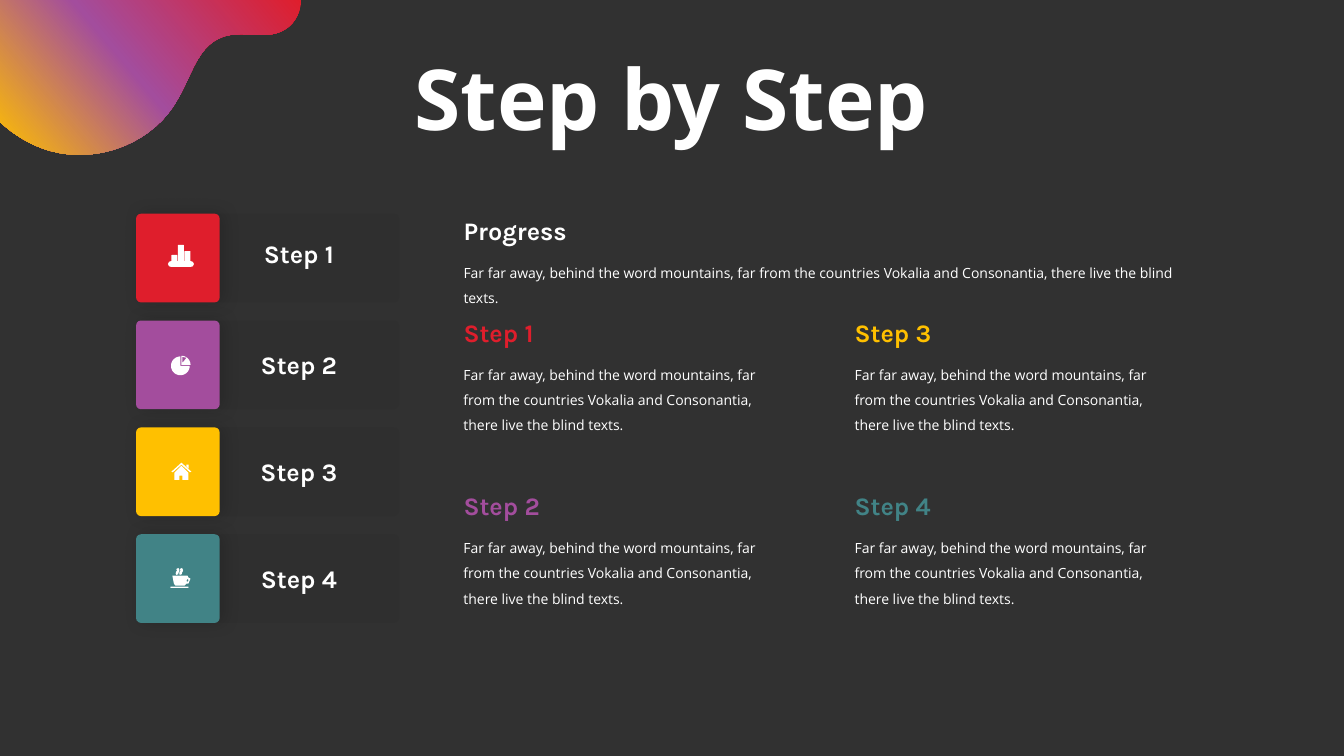
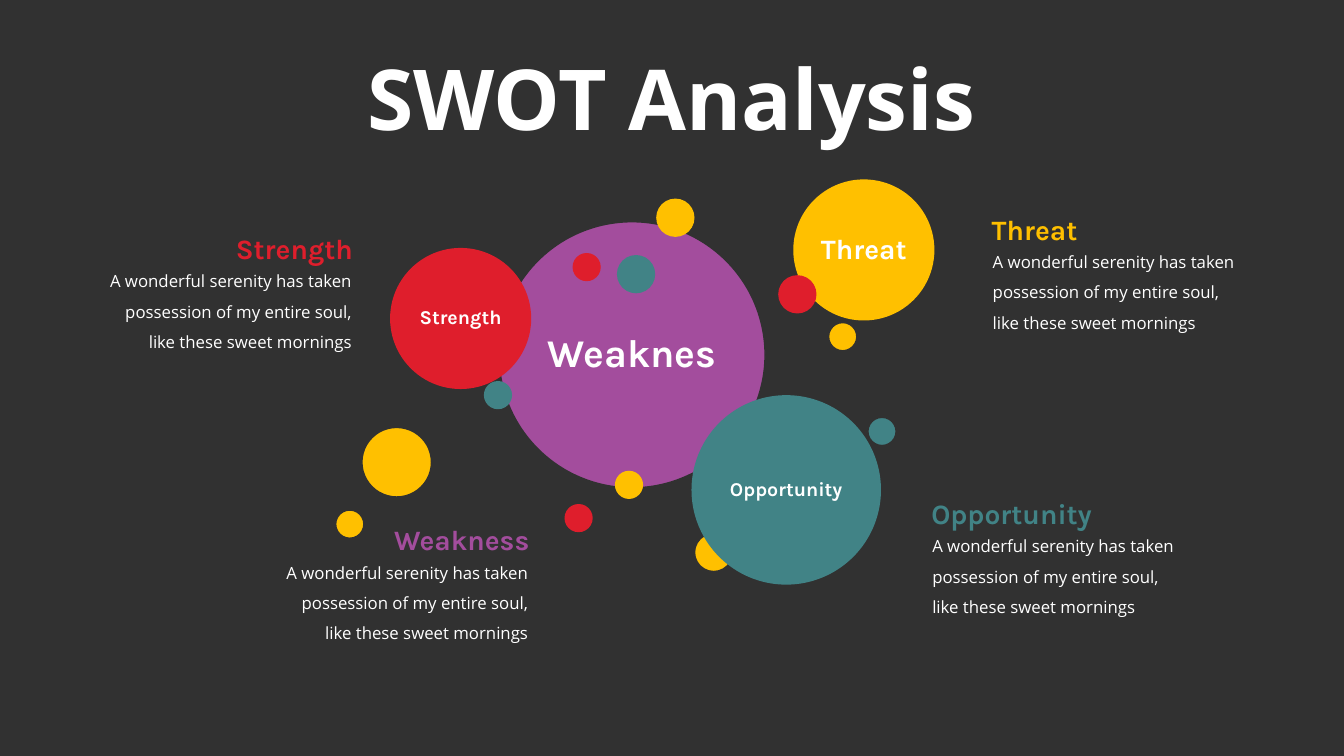
import math
from copy import deepcopy
from dataclasses import dataclass
from typing import Callable, Sequence

from lxml import etree
from pptx import Presentation, util as u
from pptx.dml.color import RGBColor
from pptx.enum import shapes as kinds, text as t
from pptx.oxml.ns import qn

Point = tuple[float, float]
LEFT, CENTER, RIGHT = t.PP_ALIGN.LEFT, t.PP_ALIGN.CENTER, t.PP_ALIGN.RIGHT
SHAPE = kinds.MSO_SHAPE

CELL = u.Inches(0.1)  # the slide is a grid of square cells
COLUMNS, ROWS = 133.33, 75
CURVE_STEPS = 16


@dataclass(frozen=True)
class Theme:
    ground: str = "313131"
    panel: str = "2F2F2F"
    white: str = "FFFFFF"
    red: str = "DF1E2C"
    purple: str = "A34D9D"
    yellow: str = "FFC000"
    teal: str = "418386"
    black: str = "000000"
    display: str = "Karla"
    reading: str = "Open Sans"
    title: float = 60
    callout: float = 20
    heading: float = 18
    note: float = 12
    body: float = 10


THEME = Theme()


@dataclass(frozen=True)
class Step:
    name: str
    color: str
    icon: Callable
    label_drop: float = 2.4


@dataclass(frozen=True)
class Bubble:
    col: float
    row: float
    size: float
    color: str
    edged: bool = False
    label: str = ""
    label_size: float = 14


@dataclass(frozen=True)
class Callout:
    """A heading and note whose aligned side stands at column `edge`."""
    heading: str
    color: str
    edge: float
    row: float
    align: t.PP_ALIGN


def cells(*counts: float) -> list[int]:
    return [round(count * CELL) for count in counts]


def write(frame, words: str, *, size: float, color: str = THEME.white,
          font: str = THEME.reading, bold: bool = False, align=LEFT,
          spacing: float = 1, before: float = 0, after: float = 0,
          anchor=t.MSO_ANCHOR.TOP, fit=t.MSO_AUTO_SIZE.NONE) -> None:
    frame.word_wrap, frame.auto_size, frame.vertical_anchor = True, fit, anchor
    para = frame.paragraphs[0]
    para.alignment, para.line_spacing = align, spacing
    para.space_before, para.space_after = u.Pt(before), u.Pt(after)
    span = para.add_run()
    span.text = words
    span.font.size, span.font.name, span.font.bold = u.Pt(size), font, bold
    span.font.color.rgb = RGBColor.from_string(color)


def add_text(shapes, col: float, row: float, width: float, height: float,
             words: str, **style) -> None:
    box = shapes.add_textbox(*cells(col, row, width, height))
    write(box.text_frame, words, fit=t.MSO_AUTO_SIZE.SHAPE_TO_FIT_TEXT, **style)


def paint(shape, fill: str, line: str = "", width: float = 1) -> None:
    shape.shadow.inherit = False
    shape.fill.solid()
    shape.fill.fore_color.rgb = RGBColor.from_string(fill)
    if line:
        shape.line.color.rgb = RGBColor.from_string(line)
        shape.line.width = u.Pt(width)
    else:
        shape.line.fill.background()


def add_preset(shapes, kind, col: float, row: float, width: float, height: float,
               fill: str, line: str = "", corner: float | None = None):
    shape = shapes.add_shape(kind, *cells(col, row, width, height))
    paint(shape, fill, line)
    if corner is not None:
        shape.adjustments[0] = corner
    return shape


def add_outline(shapes, *contours: Sequence[Point], closed: bool = True):
    """Join the points of each contour; inner contours become holes."""
    first, *others = contours
    builder = shapes.build_freeform(*cells(*first[0]))
    builder.add_line_segments([cells(*point) for point in first[1:]], close=closed)
    for contour in others:
        builder.move_to(*cells(*contour[0]))
        builder.add_line_segments([cells(*point) for point in contour[1:]], close=closed)
    return builder.convert_to_shape()


def bezier(*controls: Point) -> list[Point]:
    """Sample a cubic curve, leaving out its first point."""
    points = []
    for step in range(1, CURVE_STEPS + 1):
        s = step / CURVE_STEPS
        weights = [math.comb(3, k) * s**k * (1 - s)**(3 - k) for k in range(4)]
        points.append((sum(w * p[0] for w, p in zip(weights, controls)),
                       sum(w * p[1] for w, p in zip(weights, controls))))
    return points


def arc(col: float, row: float, radius: float, start: int, end: int) -> list[Point]:
    return [(col + radius * math.cos(math.radians(angle)),
             row + radius * math.sin(math.radians(angle)))
            for angle in range(start, end + 1, 5)]


def add_soft_shadow(shape) -> None:
    effects = shape._element.spPr.find(qn("a:effectLst"))
    shadow = etree.SubElement(effects, qn("a:outerShdw"), blurRad=str(u.Pt(12)),
                              dist=str(u.Pt(3)), dir="0", algn="l", rotWithShape="0")
    color = etree.SubElement(shadow, qn("a:srgbClr"), val=THEME.black)
    etree.SubElement(color, qn("a:alpha"), val="17000")


def fill_gradient(shape, colors: Sequence[str], positions: Sequence[float],
                  angle: float) -> None:
    shape.shadow.inherit = False
    shape.line.fill.background()
    shape.fill.gradient()
    shape.fill.gradient_angle = angle
    stops = shape._element.spPr.find(qn("a:gradFill")).find(qn("a:gsLst"))
    stops.append(deepcopy(stops[-1]))
    for stop, color, position in zip(shape.fill.gradient_stops, colors, positions):
        stop.color.rgb = RGBColor.from_string(color)
        stop.position = position


def shifted(points: Sequence[Point], col: float, row: float) -> list[Point]:
    return [(x + col, y + row) for x, y in points]


def draw_bars(shapes, col: float, row: float) -> None:
    ends = cells(col + 3.5, row + 5, col + 5.4, row + 5)
    base = shapes.add_connector(kinds.MSO_CONNECTOR.STRAIGHT, *ends)
    base.line.color.rgb = RGBColor.from_string(THEME.white)
    base.line.width = u.Pt(4.88)
    base.line._get_or_add_ln().set("cap", "rnd")
    etree.SubElement(base._element.spPr, qn("a:effectLst"))
    for left, height in ((3.5, 0.7), (4.15, 1.7), (4.8, 1.1)):
        add_preset(shapes, SHAPE.ROUNDED_RECTANGLE, col + left, row + 4.8 - height,
                   0.6, height, THEME.white, corner=0.1)


def draw_pie(shapes, col: float, row: float) -> None:
    main = [(4.4, 4.5), *arc(4.4, 4.5, 0.93, 0, 270)]
    slice_edge = [(4.5, 4.4), *arc(4.5, 4.4, 0.9, -90, 0)]
    slice_hole = [(4.6, 4.2), (4.6, 3.6), (5, 3.7)]
    paint(add_outline(shapes, shifted(main, col, row)), THEME.white)
    paint(add_outline(shapes, shifted(slice_edge, col, row),
                      shifted(slice_hole, col, row)), THEME.white)


def draw_house(shapes, col: float, row: float) -> None:
    walls = [(3.8, 5.2), (4.3, 5.2), (4.3, 4.8), (4.6, 4.8), (4.6, 5.2),
             (5.2, 5.2), (5.2, 4.5), (4.5, 3.8), (3.8, 4.5)]
    roof = [(3.5, 4.4), (3.65, 4.45), (4.5, 3.7), (5.35, 4.45), (5.5, 4.4), (4.5, 3.5)]
    chimney = [(5, 3.7), (5.2, 3.7), (5.2, 4.1), (5, 3.9)]
    for part in (walls, roof, chimney):
        paint(add_outline(shapes, shifted(part, col, row)), THEME.white)


def draw_cup(shapes, col: float, row: float) -> None:
    cup = [(3.6, 4.1), (5.1, 4.1), (5.2, 4.3), (5.4, 4.4), (5.2, 4.9),
           (5, 4.9), (4.8, 5.1), (3.9, 5.1), (3.75, 4.9)]
    handle_hole = [(5.15, 4.4), (5.2, 4.6), (5.05, 4.75), (5, 4.6)]
    steam = [(4.1, 4), (4.05, 3.85), (4.2, 3.6), (4.1, 3.4)]
    add_preset(shapes, SHAPE.ROUNDED_RECTANGLE, col + 3.4, row + 5.2, 1.8, 0.12,
               THEME.white, corner=0.5)
    paint(add_outline(shapes, shifted(cup, col, row),
                      shifted(handle_hole, col, row)), THEME.white)
    for shift in (0, 0.35):
        wisp = add_outline(shapes, shifted(steam, col + shift, row), closed=False)
        paint(wisp, THEME.white, THEME.white, 1.75)


STEPS = (Step("Step 1", THEME.red, draw_bars, label_drop=2),
         Step("Step 2", THEME.purple, draw_pie),
         Step("Step 3", THEME.yellow, draw_house),
         Step("Step 4", THEME.teal, draw_cup))
STEP_NOTE = ("Far far away, behind the word mountains, far from the countries "
             "Vokalia and Consonantia, there live the blind texts.")

BUBBLES = (
    Bubble(49.5, 22, 26.4, THEME.purple, True, "Weaknes", 28),
    Bubble(65.1, 19.7, 3.8, THEME.yellow),
    Bubble(56, 50, 2.8, THEME.red),
    Bubble(82.2, 32, 2.8, THEME.yellow, True),
    Bubble(68.9, 52.9, 3.8, THEME.yellow, True),
    Bubble(56.8, 25.1, 2.8, THEME.red),
    Bubble(48, 37.8, 2.8, THEME.teal),
    Bubble(38.7, 24.6, 14, THEME.red, label="Strength"),
    Bubble(61.2, 25.3, 3.8, THEME.teal),
    Bubble(35.9, 42.4, 6.9, THEME.yellow, True),
    Bubble(78.7, 17.8, 14, THEME.yellow, label="Threat", label_size=20),
    Bubble(77.2, 27.3, 3.8, THEME.red),
    Bubble(33.3, 50.6, 2.8, THEME.yellow, True),
    Bubble(61, 46.7, 2.8, THEME.yellow),
    Bubble(68.6, 39.2, 18.8, THEME.teal, label="Opportunity"),
    Bubble(86.1, 41.4, 2.8, THEME.teal, True),
)
CALLOUTS = (Callout("Threat", THEME.yellow, 97.4, 18.9, LEFT),
            Callout("Opportunity", THEME.teal, 91.4, 47.1, LEFT),
            Callout("Strength", THEME.red, 36, 20.8, RIGHT),
            Callout("Weakness", THEME.purple, 53.5, 49.7, RIGHT))
SWOT_NOTE = ("A wonderful serenity has taken possession of my entire soul, "
             "like these sweet mornings")


def add_page(deck, title: str):
    page = deck.slides.add_slide(deck.slide_layouts[5])
    holder = page.shapes.title
    holder.left, holder.top, holder.width, holder.height = cells(22.2, 4.3, 88.8, 11.8)
    write(holder.text_frame, title, size=THEME.title, bold=True, align=CENTER,
          spacing=0.9, before=10, anchor=t.MSO_ANCHOR.MIDDLE)
    return page


def add_corner_blob(shapes) -> None:
    curves = (((29.8, 1.2), (29.3, 2.3), (28.3, 2.9)),
              ((26.5, 4.1), (24, 2.9), (22, 3.7)),
              ((19.6, 4.6), (19, 7.5), (17.7, 9.7)),
              ((15.4, 14.1), (9.8, 16.3), (5.1, 15)),
              ((3.2, 14.5), (1.4, 13.4), (0, 12.1)))
    edge: list[Point] = [(29.9, 0)]
    for curve in curves:
        edge += bezier(edge[-1], *curve)
    blob = add_outline(shapes, [*edge, (0, 0)])
    fill_gradient(blob, (THEME.red, THEME.purple, THEME.yellow), (0, 0.53, 1), 220)


def add_step_tile(shapes, step: Step, col: float, row: float) -> None:
    add_preset(shapes, SHAPE.ROUNDED_RECTANGLE, col + 8, row, 18.1, 8.8,
               THEME.panel, corner=0.06)
    tile = add_preset(shapes, SHAPE.ROUNDED_RECTANGLE, col, row, 8.3, 8.8,
                      step.color, corner=0.06)
    add_soft_shadow(tile)
    add_text(shapes, col + 8.9, row + step.label_drop, 14.5, 4, step.name,
             size=THEME.heading, font=THEME.display, bold=True, align=CENTER)
    step.icon(shapes.add_group_shape().shapes, col, row)


def add_passage(shapes, heading: str, color: str, col: float, row: float,
                width: float = 31.3, height: float = 8.6) -> None:
    add_text(shapes, col, row, 22.2, 4, heading, size=THEME.heading,
             color=color, font=THEME.display, bold=True)
    add_text(shapes, col, row + 4, width, height, STEP_NOTE,
             size=THEME.body, spacing=1.5)


def add_bubble(shapes, bubble: Bubble) -> None:
    circle = add_preset(shapes, SHAPE.OVAL, bubble.col, bubble.row, bubble.size,
                        bubble.size, bubble.color, THEME.ground if bubble.edged else "")
    if bubble.label:
        frame = circle.text_frame
        frame.margin_left = frame.margin_right = 0
        write(frame, bubble.label, size=bubble.label_size, font=THEME.display,
              bold=True, align=CENTER, spacing=0.9, after=0.35 * bubble.label_size,
              anchor=t.MSO_ANCHOR.MIDDLE)


def add_callout(shapes, callout: Callout) -> None:
    on_right = callout.align == RIGHT
    heading_col = callout.edge - (24.9 if on_right else 0)
    note_col = callout.edge + (-27.2 if on_right else 0.1)
    add_text(shapes, note_col, callout.row + 4.6, 27.1, 9.8, SWOT_NOTE,
             size=THEME.note, align=callout.align, spacing=1.5)
    add_text(shapes, heading_col, callout.row, 24.9, 5.4, callout.heading,
             size=THEME.callout, color=callout.color, font=THEME.display,
             bold=True, align=callout.align, spacing=1.5)


def build_steps(deck) -> None:
    shapes = add_page(deck, "Step by Step").shapes
    for index, step in enumerate(STEPS):
        add_step_tile(shapes, step, 13.5, 21.2 + 10.6 * index)
        column, line = divmod(index, 2)
        add_passage(shapes, step.name, step.color, 45 + 38.8 * column, 31 + 17.2 * line)
    add_passage(shapes, "Progress", THEME.white, 45, 20.9, width=73.1, height=6.1)
    add_corner_blob(shapes)


def build_swot(deck) -> None:
    shapes = add_page(deck, "SWOT Analysis").shapes
    for bubble in BUBBLES:
        add_bubble(shapes, bubble)
    for callout in CALLOUTS:
        add_callout(shapes, callout)


def main() -> None:
    deck = Presentation()
    deck.slide_width, deck.slide_height = cells(COLUMNS, ROWS)
    ground = deck.slide_master.background.fill
    ground.solid()
    ground.fore_color.rgb = RGBColor.from_string(THEME.ground)
    build_steps(deck)
    build_swot(deck)
    deck.save("out.pptx")


if __name__ == "__main__":
    main()
